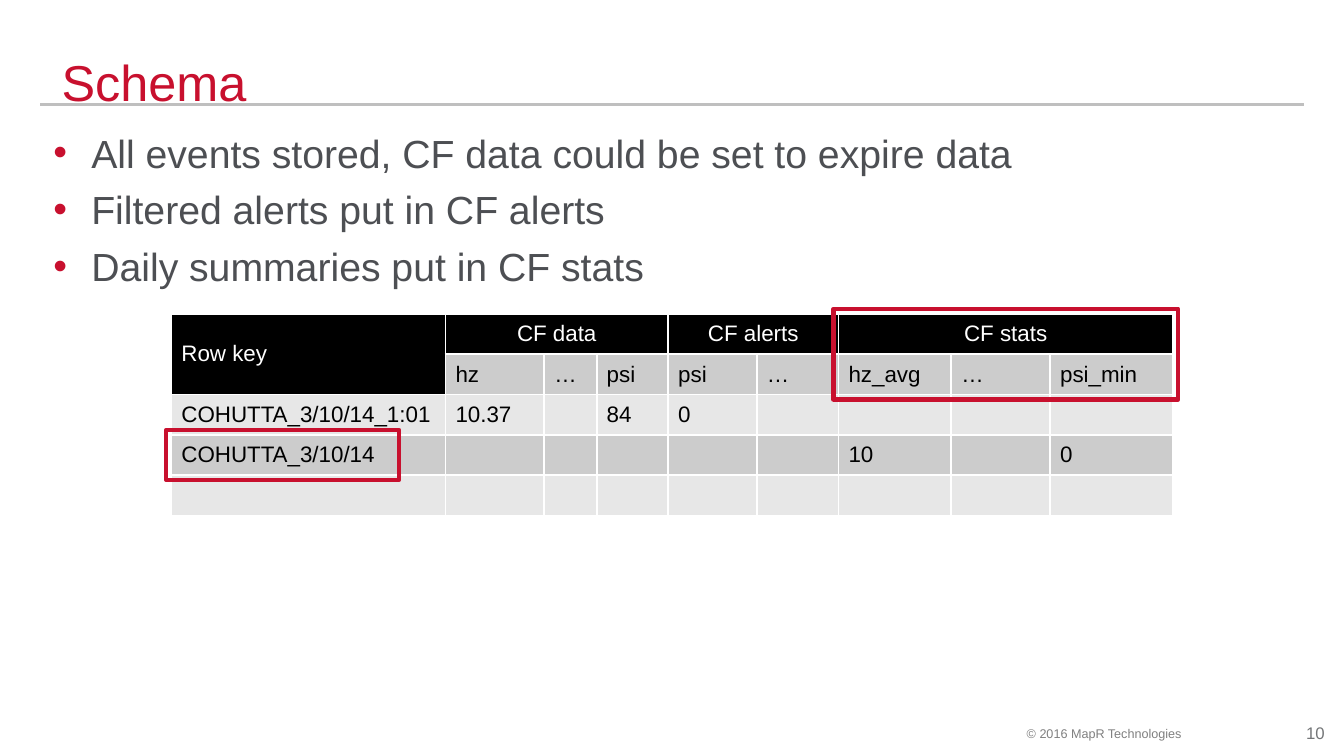
from dataclasses import dataclass

from lxml import etree
from pptx import Presentation
from pptx.dml.color import RGBColor
from pptx.enum.shapes import MSO_CONNECTOR, MSO_SHAPE
from pptx.enum.text import MSO_ANCHOR, MSO_AUTO_SIZE, PP_ALIGN
from pptx.oxml.ns import qn
from pptx.util import Pt

STRAIGHT = MSO_CONNECTOR.STRAIGHT
RECTANGLE = MSO_SHAPE.RECTANGLE
MIDDLE, TOP = MSO_ANCHOR.MIDDLE, MSO_ANCHOR.TOP
LEFT, CENTER, RIGHT = PP_ALIGN.LEFT, PP_ALIGN.CENTER, PP_ALIGN.RIGHT
NO_AUTOFIT = MSO_AUTO_SIZE.NONE


@dataclass(frozen=True)
class Theme:
    """Colours, font and type sizes of the slide."""
    font: str = "Arial"
    accent: str = "C8102E"
    body: str = "4D4F53"
    rule: str = "BFBFBF"
    copyright: str = "808080"
    number: str = "747678"
    white: str = "FFFFFF"
    black: str = "000000"
    dark_band: str = "CCCCCC"
    light_band: str = "E7E7E7"
    title_size: int = 36
    body_size: int = 28
    table_size: int = 16
    number_size: int = 12
    copyright_size: int = 9


THEME = Theme()

BULLETS = [
    "All events stored, CF data could be set to expire data",
    "Filtered alerts put in CF alerts",
    "Daily summaries put in CF stats",
]
COLUMN_WIDTHS = [195.8, 70.6, 37.4, 51.1, 63.4, 58.3, 80.6, 70.6, 87.8]
ROW_HEIGHT = 28.8
FAMILIES = [("CF data", 1, 3), ("CF alerts", 4, 5), ("CF stats", 6, 8)]
ROWS = [
    ["Row key"] + [""] * 8,
    ["", "hz", "…", "psi", "psi", "…", "hz_avg", "…", "psi_min"],
    ["COHUTTA_3/10/14_1:01", "10.37", "", "84", "0", "", "", "", ""],
    ["COHUTTA_3/10/14", "", "", "", "", "", "10", "", "0"],
    [""] * 9,
]


def style_paragraph(paragraph, size, color, align=LEFT):
    """Set the font and alignment of one paragraph."""
    paragraph.alignment = align
    font = paragraph.font
    font.name, font.size, font.bold = THEME.font, Pt(size), False
    font.color.rgb = RGBColor.from_string(color)


def place(shape, box):
    """Move a shape to a left, top, width, height box."""
    shape.left, shape.top, shape.width, shape.height = map(Pt, box)


def set_frame(frame, side, end, anchor=TOP):
    """Set the insets, wrapping and anchor of a text frame."""
    frame.margin_left = frame.margin_right = Pt(side)
    frame.margin_top = frame.margin_bottom = Pt(end)
    frame.word_wrap = True
    frame.auto_size = NO_AUTOFIT
    frame.vertical_anchor = anchor


def add_bullet(paragraph):
    """Give a paragraph a hanging bullet in the accent colour."""
    properties = paragraph._p.get_or_add_pPr()
    properties.set("marL", str(Pt(27)))
    properties.set("indent", str(Pt(-27)))
    color = etree.SubElement(properties, qn("a:buClr"))
    etree.SubElement(color, qn("a:srgbClr"), val=THEME.accent)
    etree.SubElement(properties, qn("a:buFont"), typeface=THEME.font)
    etree.SubElement(properties, qn("a:buChar"), char="•")


def build_title(slide, box):
    """Fill the title placeholder."""
    title = slide.shapes.title
    place(title, box)
    set_frame(title.text_frame, 9.4, 5, MIDDLE)
    title.text_frame.text = "Schema"
    style_paragraph(title.text_frame.paragraphs[0], THEME.title_size, THEME.accent)


def build_rule(slide, left, top, width):
    """Draw the grey line under the title."""
    rule = slide.shapes.add_connector(STRAIGHT, Pt(left), Pt(top), Pt(left + width), Pt(top))
    rule.line.color.rgb = RGBColor.from_string(THEME.rule)
    rule.line.width = Pt(2)
    etree.SubElement(rule._element.spPr, qn("a:effectLst"))


def build_bullets(slide, box):
    """Fill the body placeholder with the bulleted list."""
    body = slide.placeholders[1]
    place(body, box)
    frame = body.text_frame
    set_frame(frame, 9.4, 7)
    frame.text = "\n".join(BULLETS)
    for index, paragraph in enumerate(frame.paragraphs):
        add_bullet(paragraph)
        paragraph.space_before = Pt(7 if index else 0)
        style_paragraph(paragraph, THEME.body_size, THEME.body)


def style_cell(cell, fill, color, align):
    """Give a cell white borders, a fill and its text style."""
    properties = cell._tc.get_or_add_tcPr()
    for side in ("lnL", "lnR", "lnT", "lnB"):
        border = etree.SubElement(properties, qn(f"a:{side}"), w=str(Pt(1.5)))
        solid = etree.SubElement(border, qn("a:solidFill"))
        etree.SubElement(solid, qn("a:srgbClr"), val=THEME.white)
    cell.fill.solid()
    cell.fill.fore_color.rgb = RGBColor.from_string(fill)
    cell.vertical_anchor = MIDDLE
    style_paragraph(cell.text_frame.paragraphs[0], THEME.table_size, color, align)


def add_highlight(slide, box, pad=3.6):
    """Outline a box in the accent colour with a margin around it."""
    left, top, width, height = box
    highlight = slide.shapes.add_shape(
        RECTANGLE, Pt(left - pad), Pt(top - pad), Pt(width + 2 * pad), Pt(height + 2 * pad))
    highlight.shadow.inherit = False
    highlight.fill.background()
    highlight.line.color.rgb = RGBColor.from_string(THEME.accent)
    highlight.line.width = Pt(3)


def build_schema(slide, left, top):
    """Build the schema table and outline its stats family and daily row key."""
    table = slide.shapes.add_table(
        len(ROWS), len(COLUMN_WIDTHS), Pt(left), Pt(top),
        Pt(sum(COLUMN_WIDTHS)), Pt(ROW_HEIGHT * len(ROWS))).table
    for column, width in zip(table.columns, COLUMN_WIDTHS):
        column.width = Pt(width)
    for row_index, row in enumerate(ROWS):
        table.rows[row_index].height = Pt(ROW_HEIGHT)
        for column_index, value in enumerate(row):
            cell = table.cell(row_index, column_index)
            cell.text = value
            header = row_index == 0 or (row_index == 1 and column_index == 0)
            band = THEME.dark_band if row_index % 2 else THEME.light_band
            style_cell(cell, THEME.black if header else band,
                       THEME.white if header else THEME.black,
                       CENTER if row_index == 0 and column_index else LEFT)
    table.cell(0, 0).merge(table.cell(1, 0))
    for family, first, last in FAMILIES:
        table.cell(0, first).text_frame.paragraphs[0].add_run().text = family
        table.cell(0, first).merge(table.cell(0, last))

    stats_column = FAMILIES[-1][1]
    add_highlight(slide, (left + sum(COLUMN_WIDTHS[:stats_column]), top,
                          sum(COLUMN_WIDTHS[stats_column:]), 2 * ROW_HEIGHT))
    add_highlight(slide, (left, top + 3 * ROW_HEIGHT, 159, ROW_HEIGHT))


def add_label(slide, box, text, size, color, align, insets):
    """Add one line of footer text."""
    frame = slide.shapes.add_textbox(*map(Pt, box)).text_frame
    set_frame(frame, *insets)
    frame.text = text
    style_paragraph(frame.paragraphs[0], size, color, align)


def build_footer(slide, left, top):
    """Place the copyright line and the page number."""
    add_label(slide, (left, top + 5.8, 185.8, 11.5), "© 2016 MapR Technologies",
              THEME.copyright_size, THEME.copyright, RIGHT, (0, 0))
    add_label(slide, (left + 267.8, top, 67.7, 23.8), "10",
              THEME.number_size, THEME.number, LEFT, (7.2, 3.6))


def main():
    """Build and save the schema slide."""
    deck = Presentation()
    deck.slide_width, deck.slide_height = Pt(960), Pt(540)
    slide = deck.slides.add_slide(deck.slide_layouts[1])
    build_footer(slide, 658.1, 512.6)
    build_rule(slide, 28.8, 74.9, 902.9)
    build_title(slide, (34.6, 21.6, 864, 72.7))
    build_bullets(slide, (28.8, 85, 902.9, 414.7))
    build_schema(slide, 122.4, 224.2)
    deck.save("out.pptx")


if __name__ == "__main__":
    main()
